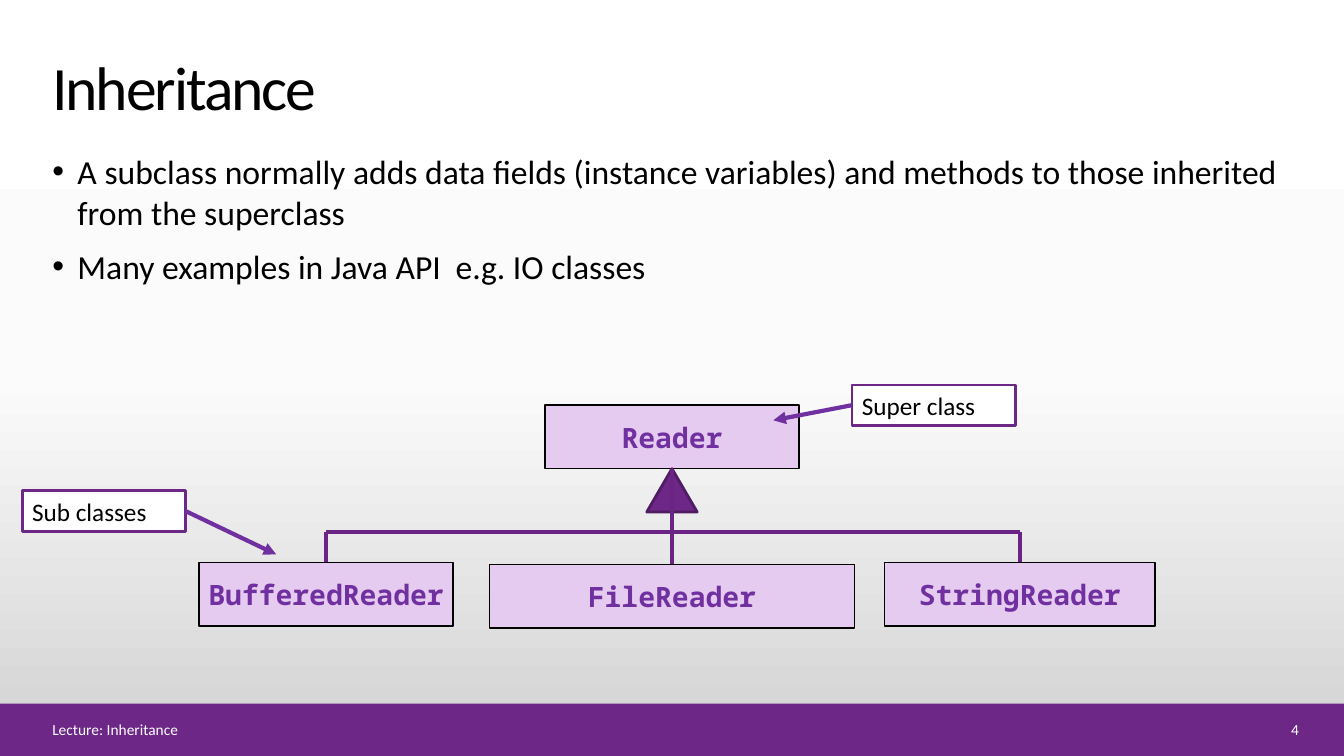
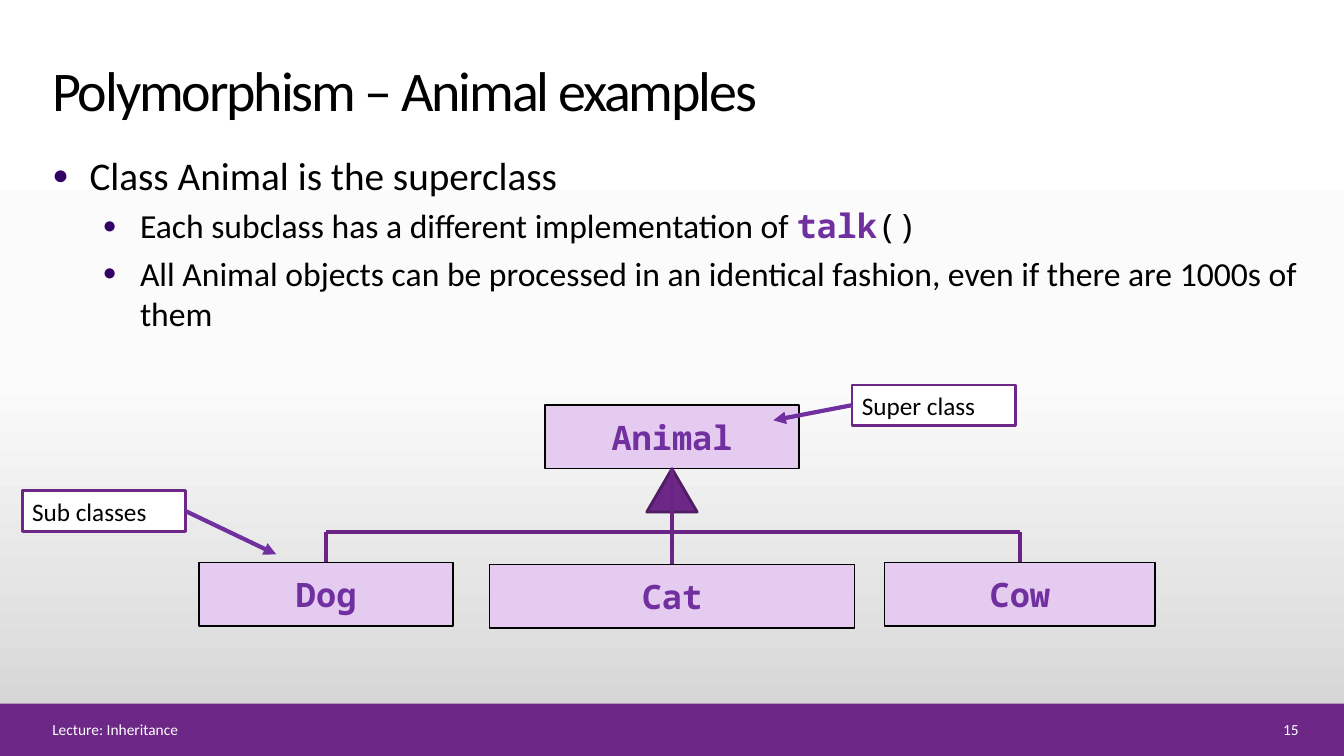
from lxml import etree
from copy import deepcopy
from pptx import Presentation
from pptx import util as u
from pptx.dml import color
from pptx.enum import shapes, text
from pptx.oxml import ns

# Shared measures (inches), colours and fonts
WIDTH, HEIGHT = 13.33, 7.5
MARGIN, CENTRE = 0.42, WIDTH / 2
CONTENT = WIDTH - 2 * MARGIN + 0.06
BAND_TOP = 6.98
PURPLE, VIOLET, LILAC = "6C2787", "7030A0", "E6CBF0"
BLACK, WHITE = "000000", "FFFFFF"
SANS, MONO = "Calibri", "Noto Sans Mono"
KINDS = shapes.MSO_SHAPE
LEFT, MIDDLE, RIGHT = text.PP_ALIGN.LEFT, text.PP_ALIGN.CENTER, text.PP_ALIGN.RIGHT
ANCHOR = text.MSO_ANCHOR


def paint(fill, hex_colour):
    fill.solid()
    fill.fore_color.rgb = color.RGBColor.from_string(hex_colour)


def add_box(slide, at, kind=None, fill=None, line=None, weight=1, paragraphs=(),
            anchor=ANCHOR.TOP, wrap=True, align=LEFT, **style):
    """Add a shape, or a text box when no kind is given.

    Each paragraph is a list of (text, run style) pairs.
    """
    place = [u.Inches(length) for length in at]
    if kind is None:
        shape = slide.shapes.add_textbox(*place)
    else:
        shape = slide.shapes.add_shape(kind, *place)
        shape.shadow.inherit = False
        paint(shape.fill, fill)
        if line:
            paint(shape.line.fill, line)
            shape.line.width = u.Pt(weight)
        else:
            shape.line.fill.background()
    frame = shape.text_frame
    frame.word_wrap, frame.vertical_anchor = wrap, anchor
    for index, runs in enumerate(paragraphs):
        paragraph = frame.paragraphs[0] if index == 0 else frame.add_paragraph()
        paragraph.alignment = align
        for words, changes in runs:
            run = paragraph.add_run()
            run.text = words
            look = {"name": SANS, "bold": False, "colour": BLACK, **style, **changes}
            paint(run.font.fill, look.pop("colour"))
            look["size"] = u.Pt(look["size"])
            for attribute, value in look.items():
                setattr(run.font, attribute, value)
    return shape


# What differs between the slides
ROUND = {"char": "●", "colour": "330066", "size": "70000"}
DOT = {"char": "•"}
LEVELS = {  # indent, hanging, space before, text size, bullet
    "plain": (0.25, 0.25, 10, 24, DOT),
    "main": (0.37, 0.37, 10, 28, ROUND),
    "sub": (0.87, 0.37, 5, 24, ROUND),
}
SLIDES = [
    {
        "title": "Inheritance", "title_size": 44, "number": "4",
        "points": [
            ("plain", [("A subclass normally adds data fields (instance variables) and "
                        "methods to those inherited from the superclass", {})]),
            ("plain", [("Many examples in Java API \te.g. IO classes", {})]),
        ],
        "parent": "Reader", "class_size": 20,
        "children": ["BufferedReader", "FileReader", "StringReader"],
    },
    {
        "title": "Polymorphism – Animal examples", "title_size": 40, "number": "15",
        "points": [
            ("main", [("Class Animal is the superclass", {})]),
            ("sub", [("Each subclass has a different implementation of ", {}),
                     ("talk", {"name": MONO, "colour": VIOLET, "bold": True}),
                     ("()", {"name": MONO})]),
            ("sub", [("All Animal objects can be processed in an identical fashion, "
                      "even if there are 1000s of them", {})]),
        ],
        "parent": "Animal", "class_size": 24,
        "children": ["Dog", "Cat", "Cow"],
    },
]

# Class diagram: centre, top and width of each class box
CLASS_HEIGHT = 0.63
PARENT_TOP, CHILD_TOP, RAIL = 4.02, 5.58, 5.28
FIRST, LAST = CENTRE - 3.43, CENTRE + 3.45
CLASS_PLACES = [
    (CENTRE, PARENT_TOP, 2.52),
    (FIRST, CHILD_TOP, 2.52),
    (CENTRE, CHILD_TOP + 0.02, 3.62),
    (LAST, CHILD_TOP, 2.68),
]
TREE_LINES = [
    (CENTRE, PARENT_TOP + CLASS_HEIGHT, CENTRE, CHILD_TOP + 0.02),
    (LAST, RAIL, FIRST, RAIL),
    (FIRST, RAIL, FIRST, CHILD_TOP),
    (LAST, RAIL, LAST, CHILD_TOP),
]
# Callouts: words, left, top, share of the width where the arrow starts, arrow end
CALLOUT_WIDTH, CALLOUT_HEIGHT = 1.62, 0.4
CALLOUTS = [
    ("Super class", 8.45, 3.82, 0, (7.67, 4.17)),
    ("Sub classes", 0.22, 4.87, 1, (2.74, 5.5)),
]

presentation = Presentation()
presentation.slide_width = u.Inches(WIDTH)
presentation.slide_height = u.Inches(HEIGHT)

# Gradient background, shared through the master
master = presentation.slide_master
background = master.background.fill
background.gradient()
background.gradient_angle = 270
stop_list = next(master.element.cSld.iter(ns.qn("a:gsLst")))
stop_list.insert(1, deepcopy(stop_list[0]))
for stop, (position, shade) in zip(background.gradient_stops,
                                   [(0, WHITE), (0.5, "FBFBFB"), (1, "D1D1D1")]):
    stop.position = position
    stop.color.rgb = color.RGBColor.from_string(shade)

for content in SLIDES:
    slide = presentation.slides.add_slide(presentation.slide_layouts[6])

    # Footer band
    add_box(slide, (0, BAND_TOP, WIDTH, HEIGHT - BAND_TOP), KINDS.RECTANGLE, PURPLE)
    for words, left, width, align in [
        ("Lecture: Inheritance", MARGIN, 11.65, LEFT),
        (content["number"], 12.23, 0.75, RIGHT),
    ]:
        add_box(slide, (left, 7.12, width, 0.23), paragraphs=[[(words, {})]],
                anchor=ANCHOR.MIDDLE, align=align, size=11, colour=WHITE)

    # Title
    title = add_box(slide, (MARGIN, 0.4, 10.4, 0.87), anchor=ANCHOR.BOTTOM,
                    paragraphs=[[(content["title"], {})]], size=content["title_size"])
    title.text_frame.paragraphs[0].runs[0].font._element.set("spc", "-150")

    # Bulleted points
    points = content["points"]
    body = add_box(slide, (MARGIN, 1.45, CONTENT, 1.9), paragraphs=[
        [(words, {"size": LEVELS[level][3], **changes}) for words, changes in runs]
        for level, runs in points])
    for paragraph, (level, _) in zip(body.text_frame.paragraphs, points):
        indent, hanging, before, _, bullet = LEVELS[level]
        paragraph.space_before = u.Pt(before)
        paragraph.level = 1 if level == "sub" else 0
        properties = paragraph._p.get_or_add_pPr()
        properties.set("marL", str(u.Inches(indent)))
        properties.set("indent", str(-u.Inches(hanging)))
        if "colour" in bullet:
            tint = etree.SubElement(properties, ns.qn("a:buClr"))
            etree.SubElement(tint, ns.qn("a:srgbClr"), val=bullet["colour"])
            etree.SubElement(properties, ns.qn("a:buSzPct"), val=bullet["size"])
        etree.SubElement(properties, ns.qn("a:buFont"), typeface="Arial")
        etree.SubElement(properties, ns.qn("a:buChar"), char=bullet["char"])

    # Class boxes and inheritance triangle
    names = [content["parent"], *content["children"]]
    for name, (middle, top, width) in zip(names, CLASS_PLACES):
        add_box(slide, (middle - width / 2, top, width, CLASS_HEIGHT), KINDS.RECTANGLE,
                LILAC, BLACK, paragraphs=[[(name, {})]], anchor=ANCHOR.MIDDLE,
                wrap=False, align=MIDDLE, size=content["class_size"],
                name=MONO, bold=True, colour=VIOLET)
    add_box(slide, (CENTRE - 0.25, PARENT_TOP + CLASS_HEIGHT, 0.5, 0.43),
            KINDS.ISOSCELES_TRIANGLE, PURPLE, "501D64", 2)

    # Callouts, then the tree lines and callout arrows
    lines = [(ends, "6B2486", False) for ends in TREE_LINES]
    for words, left, top, side, target in CALLOUTS:
        add_box(slide, (left, top, CALLOUT_WIDTH, CALLOUT_HEIGHT), KINDS.RECTANGLE,
                WHITE, PURPLE, 2, paragraphs=[[(words, {})]], size=18)
        start = (left + side * CALLOUT_WIDTH, top + CALLOUT_HEIGHT / 2)
        lines.append((start + target, VIOLET, True))
    for ends, shade, arrow in lines:
        connector = slide.shapes.add_connector(
            shapes.MSO_CONNECTOR.STRAIGHT, *[u.Inches(length) for length in ends])
        paint(connector.line.fill, shade)
        connector.line.width = u.Pt(3)
        if arrow:
            etree.SubElement(connector.line._get_or_add_ln(), ns.qn("a:tailEnd"),
                             type="triangle")
        etree.SubElement(connector._element.spPr, ns.qn("a:effectLst"))

presentation.save("out.pptx")
